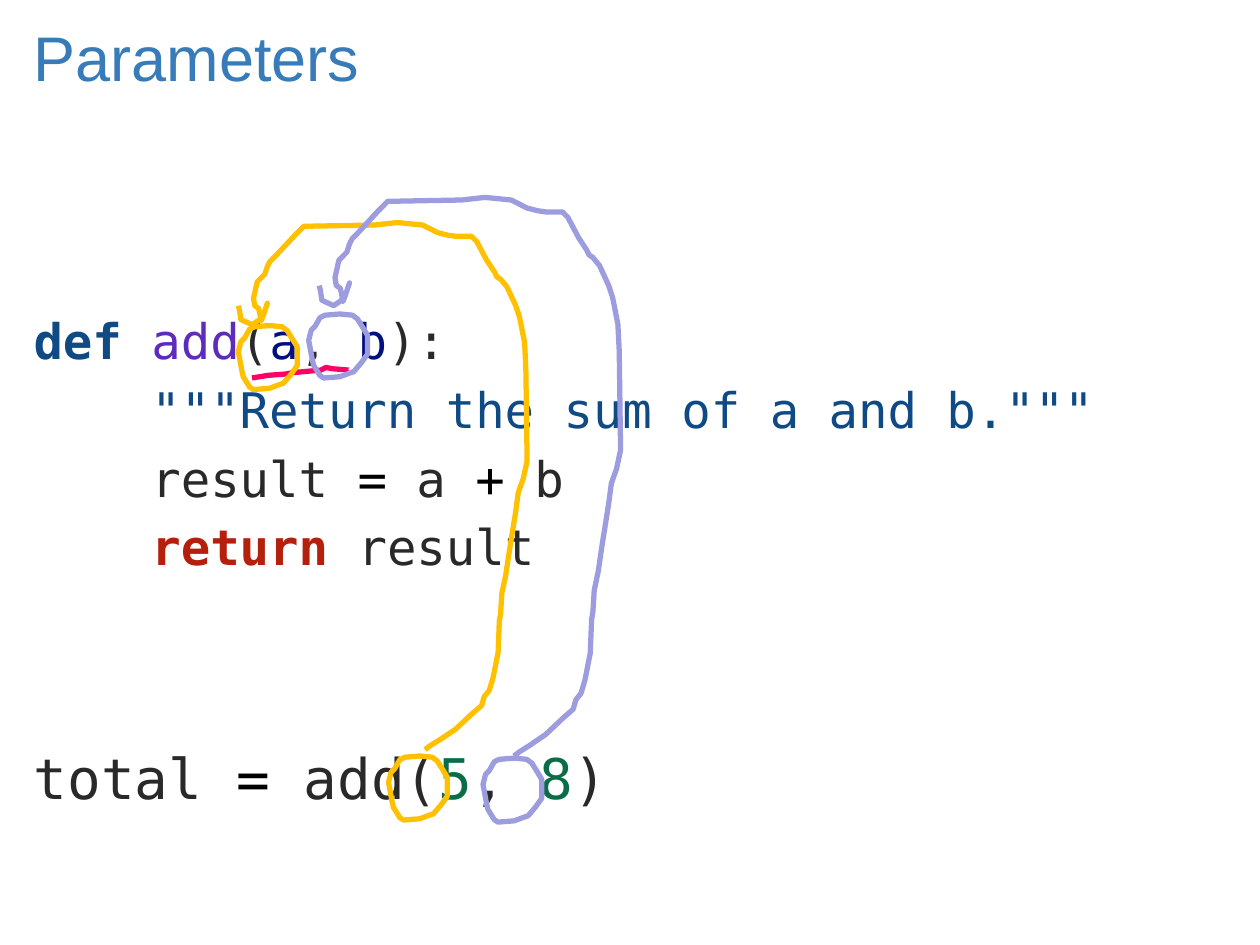
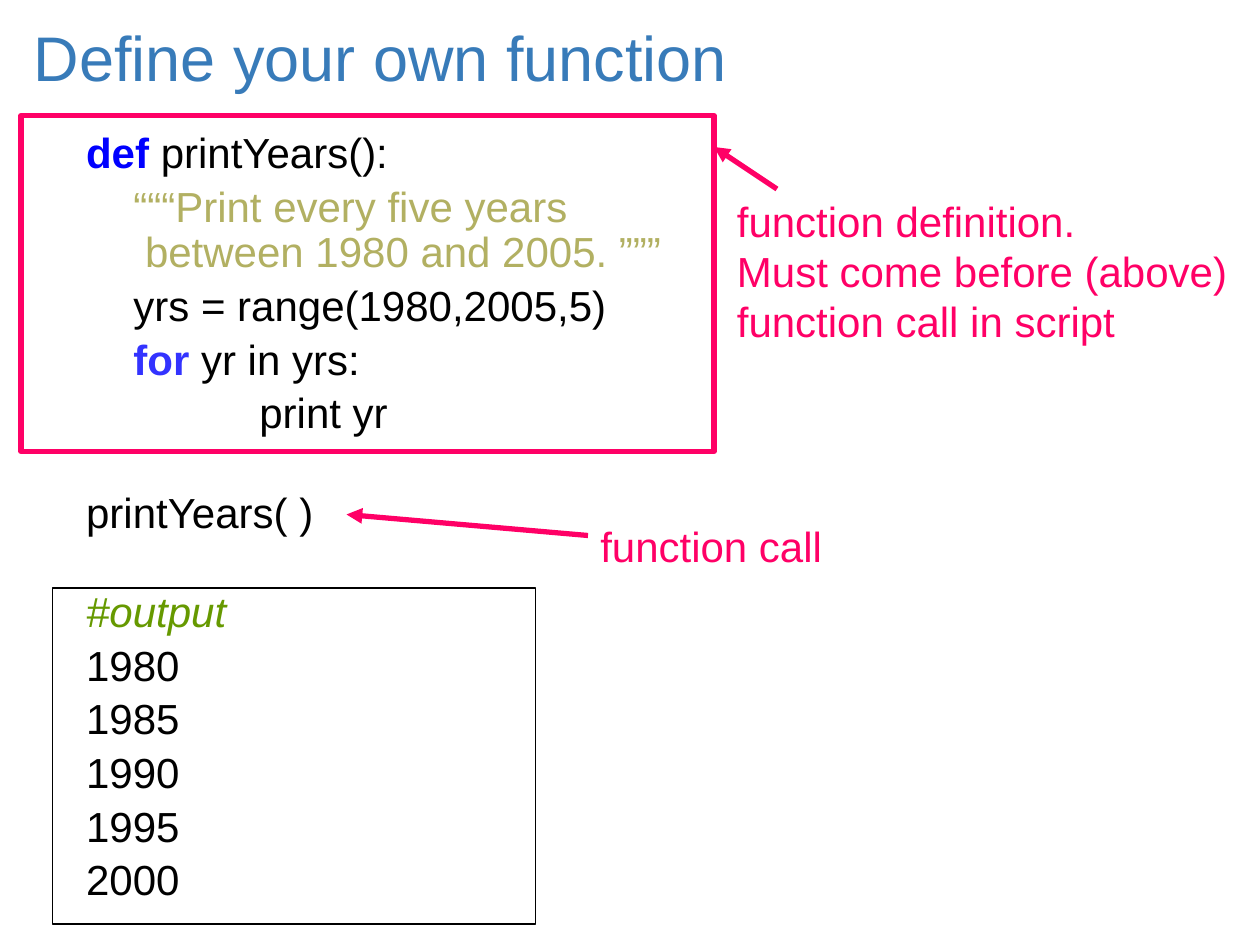
"""Build two slides on defining functions and passing parameters."""
from dataclasses import dataclass
from typing import Any

import pptx
import pptx.dml.color
import pptx.enum.shapes
import pptx.enum.text
import pptx.oxml
import pptx.oxml.ns
import pptx.util
from lxml import etree

COLS, ROWS = 120, 90
CELL = pptx.util.Inches(10) // COLS
SANS, MONO = "Arial", "DejaVu Sans Mono"
HEX = {
    "title": "387BB9", "pink": "FF0066", "gold": "FFC000", "lilac": "9C9CDF",
    "black": "000000", "white": "FFFFFF", "text": "292929", "navy": "0F4A85",
    "name": "5E2CBC", "arg": "001080", "red": "B5200D", "number": "096D48",
    "def": "0000FF", "for": "3333FF", "doc": "B2B062", "note": "669900",
}
LOOP = [(35, 1), (25, 0), (13, 1), (9, 3), (5, 10), (2, 13), (0, 21), (3, 37),
        (4, 41), (9, 49), (12, 51), (25, 50), (33, 47), (36, 46), (42, 39),
        (47, 32), (47, 17), (44, 12), (39, 4), (35, 1)]
ARC = [(148, 418), (152, 415), (160, 410), (172, 402), (186, 389), (193, 383),
       (195, 376), (199, 371), (202, 361), (206, 341), (207, 316), (208, 310),
       (209, 294), (212, 280), (215, 260), (220, 229), (222, 214), (226, 203),
       (229, 189), (228, 115), (227, 95), (223, 75), (220, 66), (213, 51),
       (208, 45), (205, 43), (203, 39), (197, 30), (189, 15), (185, 11),
       (173, 11), (166, 10), (158, 8), (146, 2), (126, 0), (108, 2), (52, 3),
       (45, 10), (30, 26), (25, 31), (23, 35), (21, 41), (15, 47), (12, 60),
       (13, 66), (16, 68), (17, 72), (18, 78), (20, 73), (23, 64), (20, 73),
       (17, 77), (11, 81), (2, 77), (1, 70), (0, 66)]
DASH = [(0, 8), (13, 6), (27, 5), (32, 4), (55, 2), (59, 0), (64, 1), (77, 2)]


@dataclass
class Box:
    """A place on the grid, in columns and rows."""
    col: float
    row: float
    wide: float
    high: float

    def emu(self) -> list[int]:
        """Give left, top, width and height as lengths."""
        return [round(n * CELL) for n in (self.col, self.row, self.wide, self.high)]


@dataclass
class Bit:
    """A piece of text in one colour."""
    text: str
    ink: str = "black"
    bold: bool = False
    slant: bool = False


@dataclass
class Line:
    """A paragraph with its left inset and the gap above it."""
    bits: list[Bit]
    gap: float = 0
    inset: float = 0
    size: float = 24


@dataclass
class Stroke:
    """A hand-drawn line fitted to a box."""
    points: list[tuple[int, int]]
    box: Box
    ink: str


@dataclass
class Label:
    """A remark with the arrow that leads from it."""
    box: Box
    lines: list[str]
    start: tuple[int, int]
    end: tuple[int, int]


def shade(ink: str) -> pptx.dml.color.RGBColor:
    """Look up a colour by name."""
    return pptx.dml.color.RGBColor.from_string(HEX[ink])


def write(frame: Any, lines: list[Line], face: str, pitch: float = 1) -> None:
    """Fill a text frame with plain left-aligned paragraphs."""
    for rank, line in enumerate(lines):
        para = frame.paragraphs[0] if rank == 0 else frame.add_paragraph()
        para.alignment = pptx.enum.text.PP_ALIGN.LEFT
        para.line_spacing = pitch
        para.space_before = pptx.util.Pt(line.gap)
        props = para._p.get_or_add_pPr()
        props.set("marL", str(round(line.inset * CELL)))
        props.set("indent", "0")
        etree.SubElement(props, pptx.oxml.ns.qn("a:buNone"))
        para.font.name, para.font.size = face, pptx.util.Pt(line.size)
        same = len({bit.ink for bit in line.bits}) == 1
        if same:
            para.font.color.rgb = shade(line.bits[0].ink)
        for bit in line.bits:
            for part, text in enumerate(bit.text.split("\n")):
                if part:
                    para.add_line_break()
                run = para.add_run()
                run.text = text
                if not same:
                    run.font.color.rgb = shade(bit.ink)
                if bit.bold:
                    run.font.bold = True
                if bit.slant:
                    run.font.italic = True


def place(holder: Any, box: Box) -> Any:
    """Move a placeholder and return its text frame."""
    holder.left, holder.top, holder.width, holder.height = box.emu()
    frame = holder.text_frame
    frame.word_wrap = True
    frame.auto_size = pptx.enum.text.MSO_AUTO_SIZE.NONE
    return frame


def start(deck: Any, title: str, box: Box, lines: list[Line], face: str,
          pitch: float = 1) -> Any:
    """Add a slide with its title and body."""
    slide = deck.slides.add_slide(deck.slide_layouts[1])
    frame = place(slide.shapes.title, Box(2, 2.4, 105, 6))
    frame.vertical_anchor = pptx.enum.text.MSO_ANCHOR.MIDDLE
    write(frame, [Line([Bit(title, "title")], size=36)], SANS)
    write(place(slide.placeholders[1], box), lines, face, pitch)
    return slide


def trim(shape: Any, ink: str, width: float = 3) -> None:
    """Set the line of a shape or connector."""
    shape.line.color.rgb = shade(ink)
    shape.line.width = pptx.util.Pt(width)


def sketch(slide: Any, stroke: Stroke) -> None:
    """Draw a hand-drawn line."""
    left, top, wide, high = stroke.box.emu()
    scale = (wide / max(x for x, _ in stroke.points),
             high / max(y for _, y in stroke.points))
    pen = slide.shapes.build_freeform(*stroke.points[0], scale=scale)
    pen.add_line_segments(stroke.points[1:], close=stroke.points is LOOP)
    shape = pen.convert_to_shape(left, top)
    shape.shadow.inherit = False
    shape.fill.background()
    trim(shape, stroke.ink)


def frame(slide: Any, box: Box, ink: str, width: float) -> Any:
    """Draw an unfilled rectangle."""
    shape = slide.shapes.add_shape(pptx.enum.shapes.MSO_SHAPE.RECTANGLE, *box.emu())
    shape.shadow.inherit = False
    shape.fill.background()
    trim(shape, ink, width)
    return shape


def point(slide: Any, label: Label) -> None:
    """Draw a remark and its arrow."""
    ends = [n * CELL for n in label.start + label.end]
    arrow = slide.shapes.add_connector(pptx.enum.shapes.MSO_CONNECTOR.STRAIGHT, *ends)
    trim(arrow, "pink")
    tip = etree.SubElement(arrow.line._get_or_add_ln(), pptx.oxml.ns.qn("a:tailEnd"))
    tip.set("type", "triangle")
    etree.SubElement(arrow._element.spPr, pptx.oxml.ns.qn("a:effectLst"))
    text = slide.shapes.add_textbox(*label.box.emu()).text_frame
    text.word_wrap = False
    text.auto_size = pptx.enum.text.MSO_AUTO_SIZE.SHAPE_TO_FIT_TEXT
    write(text, [Line([Bit(words, "pink")]) for words in label.lines], SANS)


def params(deck: Any) -> None:
    """Build the slide on parameters."""
    gap = 5.6
    code = [
        Line([Bit("def ", "navy", True), Bit("add", "name"), Bit("(", "text"),
              Bit("a", "arg"), Bit(", ", "text"), Bit("b", "arg"),
              Bit("):", "text")], size=28),
        Line([Bit('    """Return the sum of a and b."""', "navy")], gap, size=28),
        Line([Bit("    result ", "text"), Bit("="), Bit(" a ", "text"), Bit("+"),
              Bit(" b", "text")], gap, size=28),
        Line([Bit("    return", "red", True), Bit(" result", "text")], gap, size=28),
        Line([Bit("total ", "text"), Bit("="), Bit(" add(", "text"),
              Bit("5", "number"), Bit(", ", "text"), Bit("8", "number"),
              Bit(")", "text")], 96, size=32),
    ]
    slide = start(deck, "Parameters", Box(2, 29, 118, 40), code, MONO)
    sketch(slide, Stroke(DASH, Box(24, 35, 9.2, 1), "pink"))
    sketch(slide, Stroke(ARC, Box(22.7, 21.2, 27.5, 50.2), "gold"))
    sketch(slide, Stroke(ARC, Box(30.4, 18.8, 28.7, 53.2), "lilac"))
    for col, row, ink in [(37, 72, "gold"), (22.7, 31, "gold"),
                          (46, 72.2, "lilac"), (29.4, 29.9, "lilac")]:
        sketch(slide, Stroke(LOOP, Box(col, row, 5.6, 6.1), ink))


def define(deck: Any) -> None:
    """Build the slide on defining a function."""
    gap, wide, tab = 4.8, 30.8, 4.5
    code = [
        Line([Bit("def ", "def", True), Bit("printYears():")]),
        Line([Bit("“““Print every five years\n between 1980 and 2005. ”””", "doc")],
             gap, tab),
        Line([Bit("yrs = range(1980,2005,5)")], gap, tab),
        Line([Bit("for ", "for", True), Bit("yr in yrs:")], gap, tab),
        Line([Bit("print yr")], gap, tab + 12),
        Line([Bit("printYears( )")], wide),
        Line([Bit("#output", "note", slant=True)], wide),
        *(Line([Bit(str(year))], gap) for year in range(1980, 2005, 5)),
    ]
    slide = start(deck, "Define your own function", Box(7, 12, 108, 78), code, SANS, 0.9)
    panel = frame(slide, Box(5, 56, 46, 32), "black", 0.75)
    panel.fill.solid()
    panel.fill.fore_color.rgb = shade("white")
    slide.placeholders[1]._element.addprevious(panel._element)
    frame(slide, Box(2, 11, 66, 32), "pink", 3)
    point(slide, Label(Box(69, 18, 49.6, 20.6),
                       ["function definition.", "Must come before (above)",
                        "function call in script"], (74, 18), (68, 14)))
    point(slide, Label(Box(56, 49, 23.8, 6.1), ["function call"], (56, 51), (33, 49)))


def main() -> None:
    """Build and save the deck."""
    deck = pptx.Presentation()
    deck.slide_width, deck.slide_height = COLS * CELL, ROWS * CELL
    params(deck)
    define(deck)
    deck.save("out.pptx")


if __name__ == "__main__":
    main()
